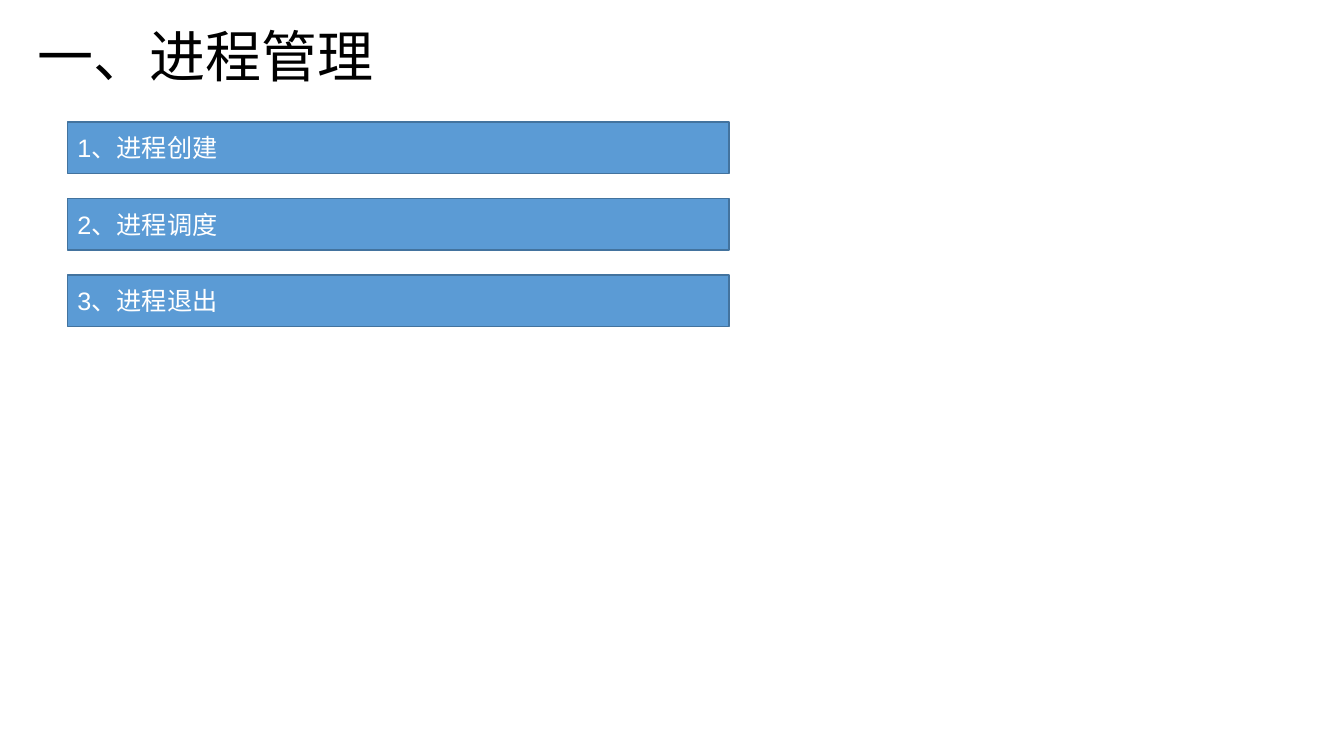
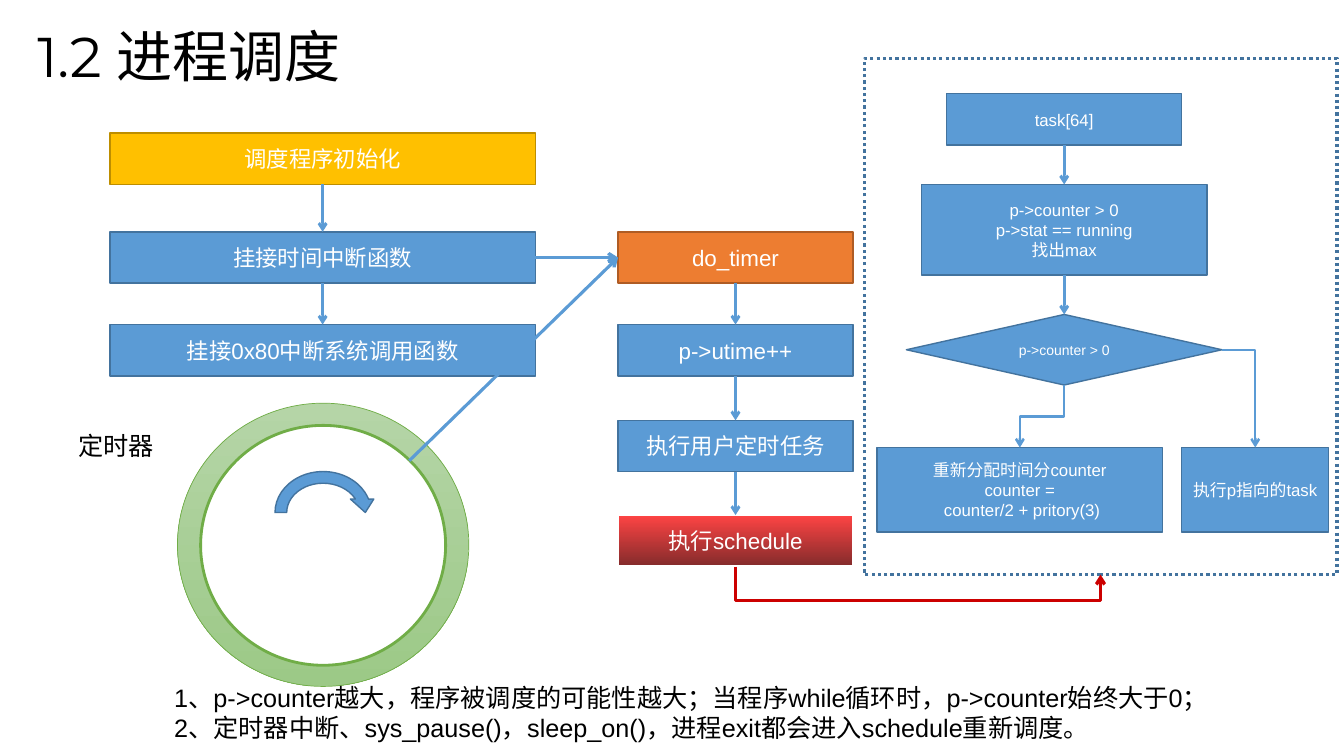
from dataclasses import dataclass

from pptx import Presentation
from pptx.dml.color import RGBColor
from pptx.enum.dml import MSO_LINE
from pptx.enum.shapes import MSO_CONNECTOR, MSO_SHAPE
from pptx.enum.text import MSO_ANCHOR, MSO_AUTO_SIZE, PP_ALIGN
from pptx.oxml.ns import qn
from pptx.oxml.xmlchemy import OxmlElement
from pptx.util import Inches, Pt

COLORS = {
    "black": "000000", "white": "FFFFFF",
    "blue": "5B9BD5", "blue_edge": "43739E",
    "gold": "FFC000", "gold_edge": "BD8E00",
    "orange": "ED7D31", "orange_edge": "AF5C24",
    "red_top": "FE4444", "red_bottom": "832B2B", "red_line": "CC0000",
    "green_top": "B5D5A7", "green_bottom": "9CC987", "green_edge": "70AD47",
}
CELL = Inches(0.1)
COLUMNS, ROWS = 133.3, 75
TOP, LEFT, BOTTOM, RIGHT = range(4)
STEP_HEIGHT = 5.1
STEP_TOPS = (13.2, 23, 32.2, 41.7, 51.1)
BLUE_STYLE = {"fill": "blue", "edge": "blue_edge"}
SMALL_STYLE = {**BLUE_STYLE, "size": 12}


@dataclass(frozen=True)
class Region:
    left: float
    top: float
    width: float
    height: float

    def inner(self, left, top, width, height):
        return Region(self.left + left, self.top + top, width, height)

    def centred(self, centre, top, width, height):
        return self.inner(centre - width / 2, top, width, height)

    def emu(self):
        return [round(length * CELL) for length in (self.left, self.top, self.width, self.height)]


TITLE_BOX = Region(2.7, 1.8, 100, 7.5)
TOPICS_BOX = Region(6.7, 12.1, 65.6, 20.3)
SETUP_BOX = Region(10.9, 0, 42.2, ROWS)
TIMER_STEPS_BOX = Region(61.3, 0, 23.3, ROWS)
TIMER_BOX = Region(6.8, 40, 39.7, 28.1)
SCHEDULE_BOX = Region(85.7, 5.8, 46.9, 51.2)
NOTES_BOX = Region(16.3, 67.2, 117, 7.1)


def rgb(name):
    return RGBColor.from_string(COLORS[name])


def apply(target, formats):
    for attribute, value in formats.items():
        setattr(target, attribute, value)


def write(frame, lines, size, color="white", font="Arial", **formats):
    frame.text = "\n".join(lines)
    for paragraph in frame.paragraphs:
        apply(paragraph, formats)
        for run in paragraph.runs:
            apply(run.font, {"size": Pt(size), "name": font})
            run.font.color.rgb = rgb(color)


def add_title(slide, text):
    title = slide.shapes.title
    left, top, width, height = TITLE_BOX.emu()
    apply(title, {"left": left, "top": top, "width": width, "height": height})
    write(title.text_frame, [text], 40, "black", "Montserrat",
          alignment=PP_ALIGN.LEFT, line_spacing=1.3)
    apply(title.text_frame, {"vertical_anchor": MSO_ANCHOR.BOTTOM, "word_wrap": True,
                             "auto_size": MSO_AUTO_SIZE.NONE})


def add_node(slide, region, lines=(), fill="blue", edge="blue_edge", edge_width=1,
             size=16, kind=MSO_SHAPE.RECTANGLE, align=PP_ALIGN.CENTER):
    node = slide.shapes.add_shape(kind, *region.emu())
    node.shadow.inherit = False
    if isinstance(fill, tuple):
        node.fill.gradient()
        node.fill.gradient_angle = 270
        for stop, name in zip(node.fill.gradient_stops, fill):
            stop.color.rgb = rgb(name)
    else:
        node.fill.solid()
        node.fill.fore_color.rgb = rgb(fill)
    node.line.color.rgb = rgb(edge)
    node.line.width = Pt(edge_width)
    if lines:
        write(node.text_frame, lines, size, alignment=align)
        node.text_frame.vertical_anchor = MSO_ANCHOR.MIDDLE
    return node


def add_label(slide, region, lines):
    label = slide.shapes.add_textbox(*region.emu())
    write(label.text_frame, lines, 18, "black")
    apply(label.text_frame, {"word_wrap": True, "auto_size": MSO_AUTO_SIZE.SHAPE_TO_FIT_TEXT})


def side_middle(node, side):
    across = {LEFT: 0, RIGHT: node.width}.get(side, node.width // 2)
    down = {TOP: 0, BOTTOM: node.height}.get(side, node.height // 2)
    return node.left + across, node.top + down


def finish_arrow(arrow, width, color="blue"):
    arrow.line.color.rgb = rgb(color)
    arrow.line.width = Pt(width)
    head = OxmlElement("a:tailEnd")
    head.set("type", "arrow")
    arrow.element.spPr.find(qn("a:ln")).append(head)
    arrow.element.spPr.append(OxmlElement("a:effectLst"))


def link(slide, source, target, sides=(BOTTOM, TOP), width=2):
    ends = side_middle(source, sides[0]) + side_middle(target, sides[1])
    arrow = slide.shapes.add_connector(MSO_CONNECTOR.STRAIGHT, *ends)
    arrow.begin_connect(source, sides[0])
    arrow.end_connect(target, sides[1])
    finish_arrow(arrow, width)


def link_chain(slide, nodes):
    for source, target in zip(nodes, nodes[1:]):
        link(slide, source, target)


def elbow_right_down(slide, start, end, width):
    arrow = slide.shapes.add_connector(MSO_CONNECTOR.ELBOW, *start, *end)
    arrow.element.spPr.find(qn("a:prstGeom")).set("prst", "bentConnector2")
    finish_arrow(arrow, width)


def elbow_down(slide, start, end, bend, width, color="blue"):
    across, down = end[0] - start[0], end[1] - start[1]
    left = (start[0] + end[0] - down) // 2
    top = (start[1] + end[1] - abs(across)) // 2
    arrow = slide.shapes.add_connector(
        MSO_CONNECTOR.ELBOW, left, top, left + down, top + abs(across))
    frame = arrow.element.spPr.find(qn("a:xfrm"))
    frame.set("rot", "5400000")
    if across > 0:
        frame.set("flipV", "1")
    guide = OxmlElement("a:gd")
    guide.set("name", "adj1")
    guide.set("fmla", f"val {round(bend * CELL / down * 100000)}")
    arrow.element.spPr.find(qn("a:prstGeom")).find(qn("a:avLst")).append(guide)
    finish_arrow(arrow, width, color)


def add_topics(slide, region, topics):
    pitch = (region.height - STEP_HEIGHT) / (len(topics) - 1)
    for index, topic in enumerate(topics):
        add_node(slide, region.inner(0, index * pitch, region.width, STEP_HEIGHT), [topic],
                 size=18, align=PP_ALIGN.LEFT)


def add_steps(slide, region, tops, steps):
    nodes = [add_node(slide, region.inner(0, top, region.width, STEP_HEIGHT), [text], **style)
             for top, (text, style) in zip(tops, steps)]
    link_chain(slide, nodes)
    return nodes


def add_timer(slide, region, target):
    add_node(slide, region.inner(10.8, 0, 28.9, region.height), kind=MSO_SHAPE.OVAL,
             fill=("green_top", "green_bottom"), edge="green_edge", edge_width=0.5)
    add_node(slide, region.inner(13.1, 2.2, 24.3, 23.8), kind=MSO_SHAPE.OVAL,
             fill="white", edge="green_edge", edge_width=2)
    add_label(slide, region.inner(0, 2.2, 10.8, 4), ["定时器"])
    add_node(slide, region.inner(19.9, 6.2, 10.7, 9.3), kind=MSO_SHAPE.CIRCULAR_ARROW)
    start = region.inner(33.8, 5.7, 0, 0).emu()[:2]
    tick = slide.shapes.add_connector(
        MSO_CONNECTOR.STRAIGHT, *start, *side_middle(target, LEFT))
    tick.end_connect(target, LEFT)
    finish_arrow(tick, 2.25)


def add_schedule(slide, region):
    panel = add_node(slide, region, fill="white", edge_width=2.25)
    panel.line.dash_style = MSO_LINE.ROUND_DOT
    axis = 19.85
    tasks = add_node(slide, region.centred(axis, 3.5, 23.3, STEP_HEIGHT),
                     ["task[64]"], **SMALL_STYLE)
    search = add_node(slide, region.centred(axis, 12.5, 28.3, 9),
                      ["p->counter > 0", "p->stat == running", "找出max"], **SMALL_STYLE)
    decision = add_node(slide, region.centred(axis, 25.4, 31.3, 7), ["p->counter > 0"],
                        kind=MSO_SHAPE.DIAMOND, size=10)
    refill = add_node(slide, region.inner(1.3, 38.6, 28.3, 8.4),
                      ["重新分配时间分counter", "counter =", " counter/2 + pritory(3)"],
                      **SMALL_STYLE)
    execute = add_node(slide, region.inner(31.5, 38.6, 14.6, 8.4),
                       ["执行p指向的task"], **SMALL_STYLE)
    link_chain(slide, [tasks, search, decision])
    elbow_down(slide, side_middle(decision, BOTTOM), side_middle(refill, TOP), 3.1, 1.75)
    elbow_right_down(slide, side_middle(decision, RIGHT), side_middle(execute, TOP), 1.75)
    return panel


def build_contents(slide):
    add_title(slide, "一、进程管理")
    add_topics(slide, TOPICS_BOX, ["1、进程创建", "2、进程调度", "3、进程退出"])


def build_scheduling(slide):
    panel = add_schedule(slide, SCHEDULE_BOX)
    add_title(slide, "1.2 进程调度")
    setup = add_steps(slide, SETUP_BOX, STEP_TOPS[:3], [
        ("调度程序初始化", {"fill": "gold", "edge": "gold_edge"}),
        ("挂接时间中断函数", BLUE_STYLE),
        ("挂接0x80中断系统调用函数", BLUE_STYLE),
    ])
    timer_steps = add_steps(slide, TIMER_STEPS_BOX, STEP_TOPS[1:], [
        ("do_timer", {"fill": "orange", "edge": "orange_edge"}),
        ("p->utime++", BLUE_STYLE),
        ("执行用户定时任务", BLUE_STYLE),
        ("执行schedule", {"fill": ("red_top", "red_bottom"), "edge": "white",
                        "edge_width": 1.5}),
    ])
    link(slide, setup[1], timer_steps[0], (RIGHT, LEFT), 2.25)
    add_timer(slide, TIMER_BOX, timer_steps[0])
    elbow_down(slide, side_middle(timer_steps[-1], BOTTOM), side_middle(panel, BOTTOM),
               3.4, 2.25, "red_line")
    add_label(slide, NOTES_BOX, [
        "1、p->counter越大，程序被调度的可能性越大；当程序while循环时，p->counter始终大于0；",
        "2、定时器中断、sys_pause()，sleep_on()，进程exit都会进入schedule重新调度。",
    ])


def main():
    deck = Presentation()
    deck.slide_width, deck.slide_height = round(COLUMNS * CELL), ROWS * CELL
    title_only = deck.slide_layouts[5]
    for build in (build_contents, build_scheduling):
        build(deck.slides.add_slide(title_only))
    deck.save("out.pptx")


if __name__ == "__main__":
    main()
